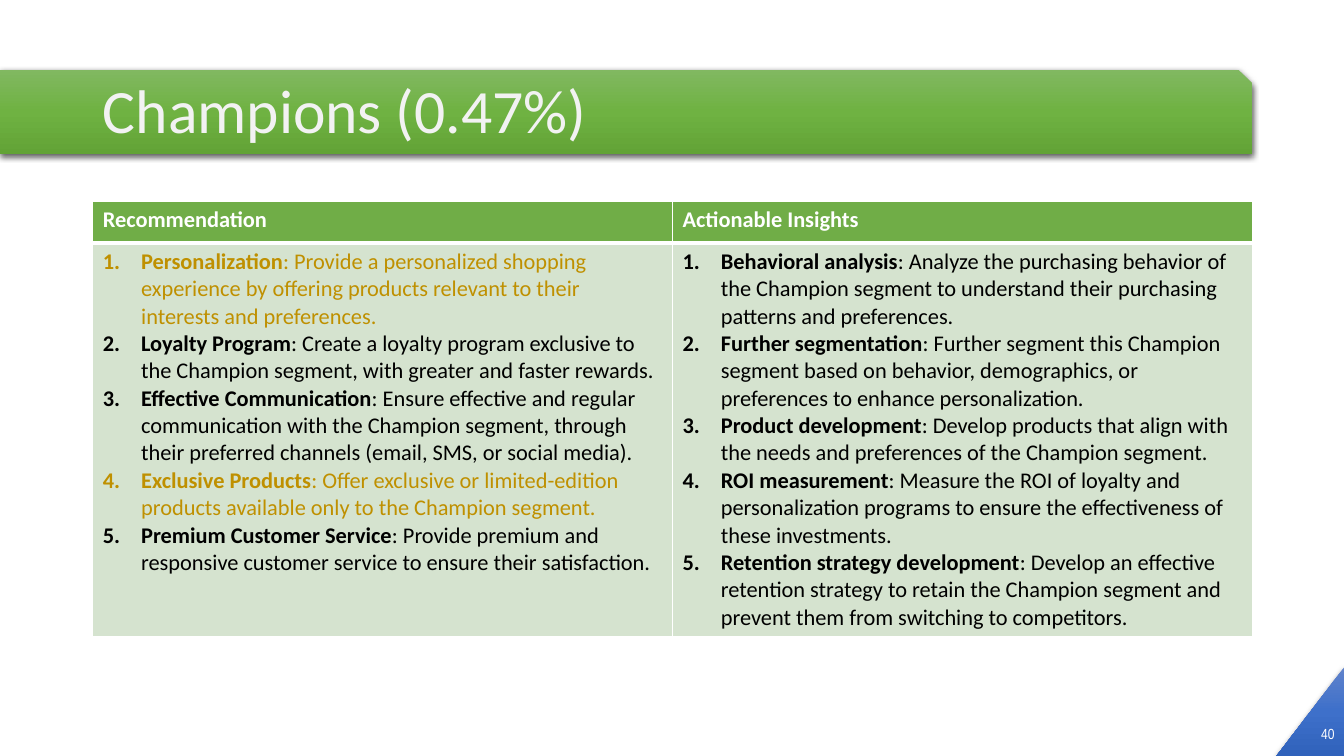
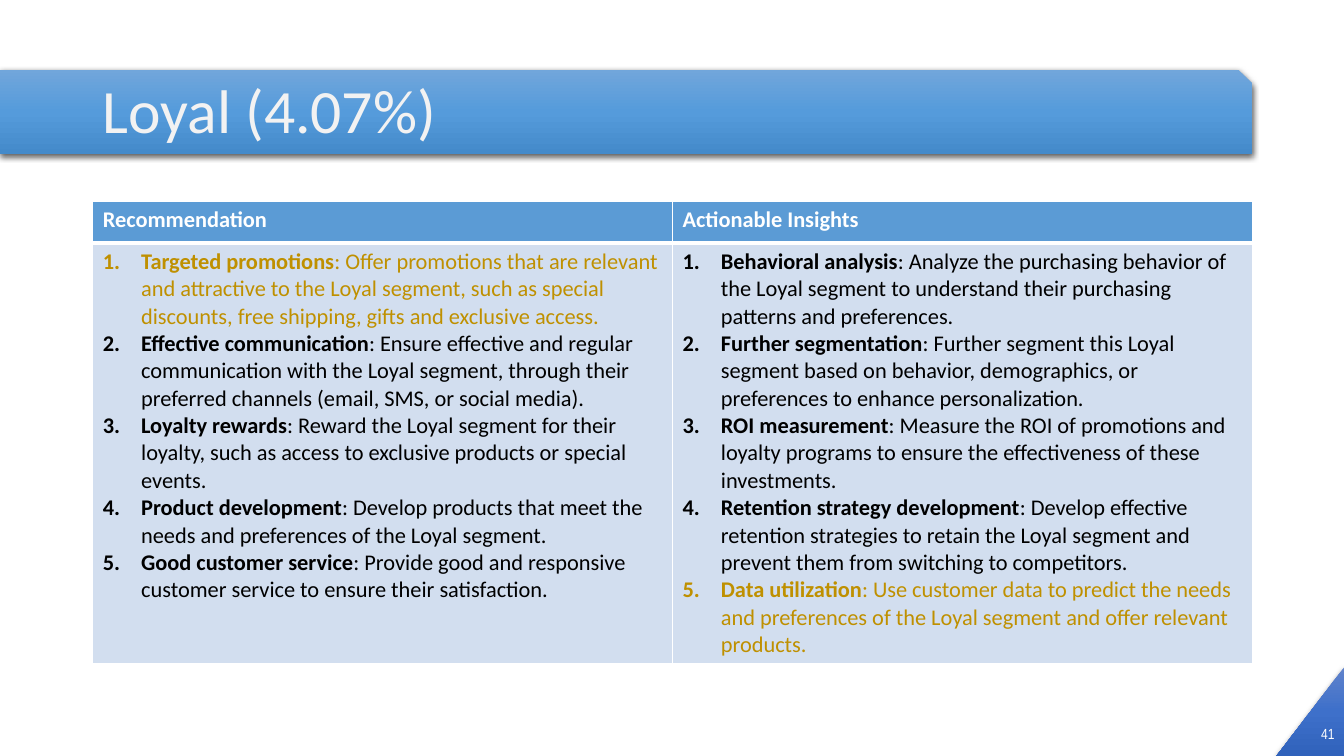
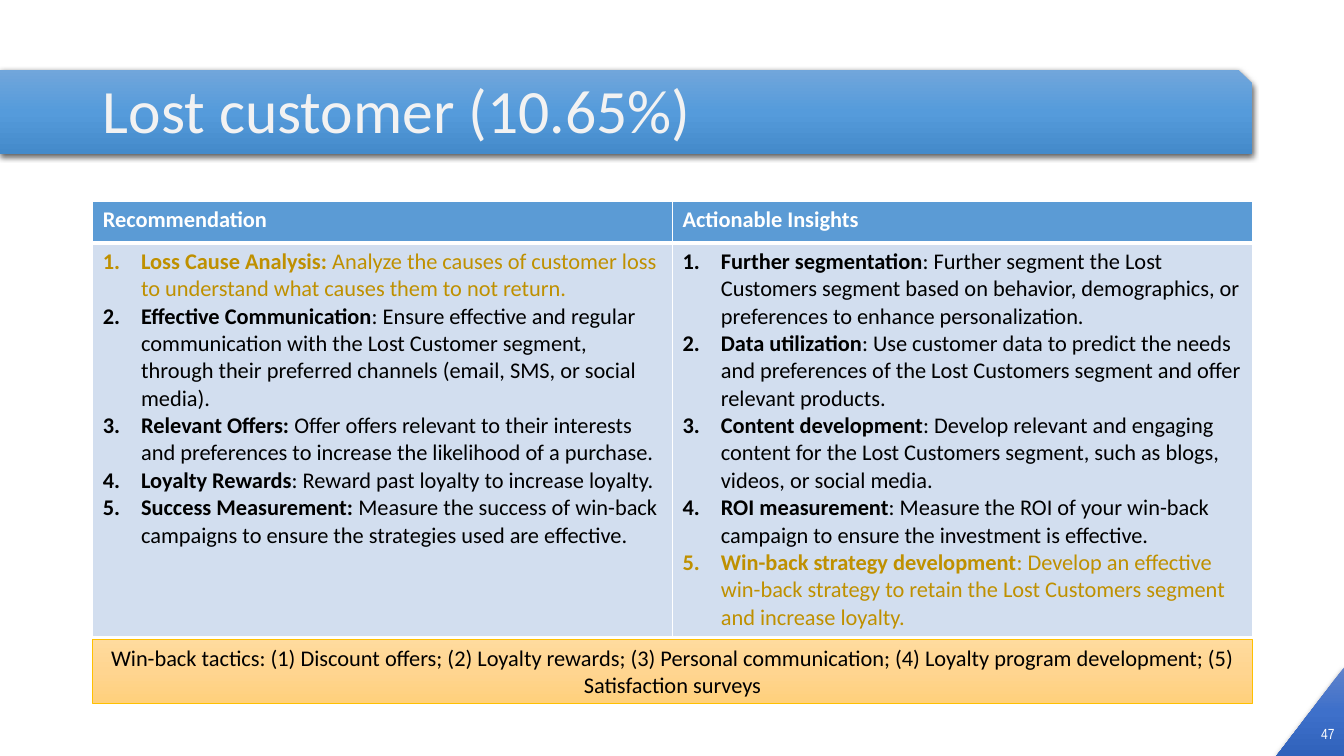
from copy import deepcopy

from pptx import Presentation
from pptx.dml.color import RGBColor as Rgb
from pptx.enum.shapes import MSO_SHAPE as Shape
from pptx.enum.text import MSO_ANCHOR as Anchor, MSO_AUTO_SIZE as AutoSize, PP_ALIGN as Align
from pptx.oxml import parse_xml
from pptx.oxml.ns import nsdecls, qn
from pptx.util import Inches, Pt

WHITE = Rgb(0xFF, 0xFF, 0xFF)
BLACK = Rgb(0x00, 0x00, 0x00)
GOLD = Rgb(0xBF, 0x90, 0x00)
TITLE_GREY = Rgb(0xF2, 0xF2, 0xF2)
AMBER = Rgb(0xFF, 0xC0, 0x00)
CORNER_SHADES = [Rgb(0x61, 0x83, 0xCB), Rgb(0x3E, 0x70, 0xCA), Rgb(0x30, 0x62, 0xBB)]
TACTICS_SHADES = [Rgb(0xFF, 0xDB, 0x9E), Rgb(0xFF, 0xD5, 0x90), Rgb(0xFF, 0xD0, 0x7C)]
GREEN = {
    "band": [Rgb(0x81, 0xB8, 0x61), Rgb(0x6F, 0xB2, 0x42), Rgb(0x62, 0xA3, 0x36)],
    "header": Rgb(0x70, 0xAD, 0x47),
    "body": Rgb(0xD5, 0xE3, 0xCF),
}
BLUE = {
    "band": [Rgb(0x71, 0xA6, 0xDB), Rgb(0x55, 0x9B, 0xDB), Rgb(0x44, 0x8A, 0xCA)],
    "header": Rgb(0x5B, 0x9B, 0xD5),
    "body": Rgb(0xD2, 0xDE, 0xEF),
}

TITLE_FONT = {"name": "Calibri", "size": Pt(44)}
TEXT_FONT = {"name": "Calibri", "size": Pt(16)}
PAGE_FONT = {"name": "Arial Narrow", "size": Pt(10.5)}

LEFT, WIDTH = Inches(0.92), Inches(11.5)
TABLE_TOP, HEADER_HEIGHT = Inches(2), Inches(0.41)
INDENT = Inches(0.38)
HEADINGS = ["Recommendation", "Actionable Insights"]

SEGMENTS = [
    {
        "title": "Champions (0.47%)", "page": "40", "theme": GREEN, "height": Inches(4.24),
        "columns": [
            [
                ("Personalization", ": Provide a personalized shopping experience by offering products relevant to their interests and preferences.", GOLD),
                ("Loyalty Program", ": Create a loyalty program exclusive to the Champion segment, with greater and faster rewards.", BLACK),
                ("Effective Communication", ": Ensure effective and regular communication with the Champion segment, through their preferred channels (email, SMS, or social media).", BLACK),
                ("Exclusive Products", ": Offer exclusive or limited-edition products available only to the Champion segment.", GOLD),
                ("Premium Customer Service", ": Provide premium and responsive customer service to ensure their satisfaction.", BLACK),
            ],
            [
                ("Behavioral analysis", ": Analyze the purchasing behavior of the Champion segment to understand their purchasing patterns and preferences.", BLACK),
                ("Further segmentation", ": Further segment this Champion segment based on behavior, demographics, or preferences to enhance personalization.", BLACK),
                ("Product development", ": Develop products that align with the needs and preferences of the Champion segment.", BLACK),
                ("ROI measurement", ": Measure the ROI of loyalty and personalization programs to ensure the effectiveness of these investments.", BLACK),
                ("Retention strategy development", ": Develop an effective retention strategy to retain the Champion segment and prevent them from switching to competitors.", BLACK),
            ],
        ],
    },
    {
        "title": "Loyal (4.07%)", "page": "41", "theme": BLUE, "height": Inches(4.51),
        "columns": [
            [
                ("Targeted promotions", ": Offer promotions that are relevant and attractive to the Loyal segment, such as special discounts, free shipping, gifts and exclusive access.", GOLD),
                ("Effective communication", ": Ensure effective and regular communication with the Loyal segment, through their preferred channels (email, SMS, or social media).", BLACK),
                ("Loyalty rewards", ": Reward the Loyal segment for their loyalty, such as access to exclusive products or special events.", BLACK),
                ("Product development", ": Develop products that meet the needs and preferences of the Loyal segment.", BLACK),
                ("Good customer service", ": Provide good and responsive customer service to ensure their satisfaction.", BLACK),
            ],
            [
                ("Behavioral analysis", ": Analyze the purchasing behavior of the Loyal segment to understand their purchasing patterns and preferences.", BLACK),
                ("Further segmentation", ": Further segment this Loyal segment based on behavior, demographics, or preferences to enhance personalization.", BLACK),
                ("ROI measurement", ": Measure the ROI of promotions and loyalty programs to ensure the effectiveness of these investments.", BLACK),
                ("Retention strategy development", ": Develop effective retention strategies to retain the Loyal segment and prevent them from switching to competitors.", BLACK),
                ("Data utilization", ": Use customer data to predict the needs and preferences of the Loyal segment and offer relevant products.", GOLD),
            ],
        ],
    },
    {
        "title": "Lost customer (10.65%)", "page": "47", "theme": BLUE, "height": Inches(4.24),
        "columns": [
            [
                ("Loss Cause Analysis:", " Analyze the causes of customer loss to understand what causes them to not return.", GOLD),
                ("Effective Communication", ": Ensure effective and regular communication with the Lost Customer segment, through their preferred channels (email, SMS, or social media).", BLACK),
                ("Relevant Offers:", " Offer offers relevant to their interests and preferences to increase the likelihood of a purchase.", BLACK),
                ("Loyalty Rewards", ": Reward past loyalty to increase loyalty.", BLACK),
                ("Success Measurement:", " Measure the success of win-back campaigns to ensure the strategies used are effective.", BLACK),
            ],
            [
                ("Further segmentation", ": Further segment the Lost Customers segment based on behavior, demographics, or preferences to enhance personalization.", BLACK),
                ("Data utilization", ": Use customer data to predict the needs and preferences of the Lost Customers segment and offer relevant products.", BLACK),
                ("Content development", ": Develop relevant and engaging content for the Lost Customers segment, such as blogs, videos, or social media.", BLACK),
                ("ROI measurement", ": Measure the ROI of your win-back campaign to ensure the investment is effective.", BLACK),
                ("Win-back strategy development", ": Develop an effective win-back strategy to retain the Lost Customers segment and increase loyalty.", GOLD),
            ],
        ],
        "tactics": "Win-back tactics: (1) Discount offers; (2) Loyalty rewards; (3) Personal communication; (4) Loyalty program development; (5) Satisfaction surveys",
    },
]


def set_all(target, values):
    for name, value in values.items():
        setattr(target, name, value)


def add_span(para, text, font, color, bold=False):
    span = para.add_run()
    span.text = text
    set_all(span.font, {**font, "bold": bold})
    span.font.color.rgb = color


def add_shaded_shape(slide, kind, place, shades, shadow=True):
    shape = slide.shapes.add_shape(kind, *map(Inches, place))
    shape.shadow.inherit = False
    shape.line.fill.background()
    shape.fill.gradient()
    shape.fill.gradient_angle = 270
    properties = shape._element.spPr
    stop_list = properties.find(".//" + qn("a:gsLst"))
    stop_list.append(deepcopy(stop_list[-1]))
    for stop, position, shade in zip(shape.fill.gradient_stops, (0, 0.5, 1), shades):
        stop.position = position
        stop.color.rgb = shade
    if shadow:
        properties.find(qn("a:effectLst")).append(parse_xml(
            f'<a:outerShdw {nsdecls("a")} blurRad="{Pt(4.5)}" dist="{Pt(1.5)}" dir="5400000" '
            'algn="ctr" rotWithShape="0"><a:srgbClr val="000000"><a:alpha val="63000"/>'
            '</a:srgbClr></a:outerShdw>'))
    return shape


def add_title(slide, text, shades):
    band = add_shaded_shape(slide, Shape.SNIP_ROUND_RECTANGLE, (0, 0.69, 12.42, 0.84), shades)
    band.adjustments[0], band.adjustments[1] = 0, 0.167
    title = slide.shapes.title
    title._element.addprevious(band._element)
    set_all(title, {"left": LEFT, "top": Inches(0.4), "width": WIDTH, "height": Inches(1.45)})
    set_all(title.text_frame, {"vertical_anchor": Anchor.MIDDLE, "word_wrap": True,
                               "auto_size": AutoSize.NONE})
    para = title.text_frame.paragraphs[0]
    set_all(para, {"alignment": Align.LEFT, "line_spacing": 0.9})
    add_span(para, text, TITLE_FONT, TITLE_GREY)


def paint_cell(cell, color, borders):
    properties = cell._tc.get_or_add_tcPr()
    for side, points in borders.items():
        properties.append(parse_xml(
            f'<a:ln{side} {nsdecls("a")} w="{Pt(points)}"><a:solidFill>'
            f'<a:srgbClr val="{WHITE}"/></a:solidFill></a:ln{side}>'))
    cell.fill.solid()
    cell.fill.fore_color.rgb = color


def add_numbered_items(frame, items):
    for index, (lead, detail, color) in enumerate(items):
        para = frame.add_paragraph() if index else frame.paragraphs[0]
        properties = para._p.get_or_add_pPr()
        set_all_indents = {"marL": INDENT, "indent": -INDENT}
        for name, value in set_all_indents.items():
            properties.set(name, str(value))
        properties.append(parse_xml(f'<a:buFont {nsdecls("a")} typeface="+mj-lt"/>'))
        properties.append(parse_xml(f'<a:buAutoNum {nsdecls("a")} type="arabicPeriod"/>'))
        add_span(para, lead, TEXT_FONT, color, bold=True)
        add_span(para, detail, TEXT_FONT, color)


def add_advice_table(slide, columns, theme, height):
    table = slide.shapes.add_table(2, len(columns), LEFT, TABLE_TOP, WIDTH, height).table
    table.horz_banding = False
    table.rows[0].height = HEADER_HEIGHT
    table.rows[1].height = height - HEADER_HEIGHT
    for index, (heading, items) in enumerate(zip(HEADINGS, columns)):
        header, body = table.cell(0, index), table.cell(1, index)
        paint_cell(header, theme["header"], {"L": 1, "R": 1, "T": 1, "B": 3})
        paint_cell(body, theme["body"], {"L": 1, "R": 1, "T": 3, "B": 1})
        add_span(header.text_frame.paragraphs[0], heading, TEXT_FONT, WHITE, bold=True)
        add_numbered_items(body.text_frame, items)


def add_tactics(slide, text):
    box = add_shaded_shape(slide, Shape.RECTANGLE, (0.92, 6.34, 11.5, 0.64), TACTICS_SHADES, shadow=False)
    box.line.color.rgb = AMBER
    box.line.width = Pt(0.5)
    set_all(box.text_frame, {"vertical_anchor": Anchor.TOP, "word_wrap": True,
                             "auto_size": AutoSize.SHAPE_TO_FIT_TEXT})
    para = box.text_frame.paragraphs[0]
    para.alignment = Align.CENTER
    add_span(para, text, TEXT_FONT, BLACK)


def add_page_corner(slide, page):
    corner = add_shaded_shape(slide, Shape.ISOSCELES_TRIANGLE, (12.66, 6.61, 0.68, 0.89), CORNER_SHADES)
    corner.adjustments[0] = 1
    set_all(corner.text_frame, {"vertical_anchor": Anchor.MIDDLE, "margin_left": 0, "margin_right": 0})
    para = corner.text_frame.paragraphs[0]
    para.alignment = Align.CENTER
    add_span(para, page, PAGE_FONT, WHITE)


def main():
    deck = Presentation()
    set_all(deck, {"slide_width": Inches(13.33), "slide_height": Inches(7.5)})
    for segment in SEGMENTS:
        slide = deck.slides.add_slide(deck.slide_layouts[5])
        add_title(slide, segment["title"], segment["theme"]["band"])
        add_advice_table(slide, segment["columns"], segment["theme"], segment["height"])
        if "tactics" in segment:
            add_tactics(slide, segment["tactics"])
        add_page_corner(slide, segment["page"])
    deck.save("out.pptx")


if __name__ == "__main__":
    main()
